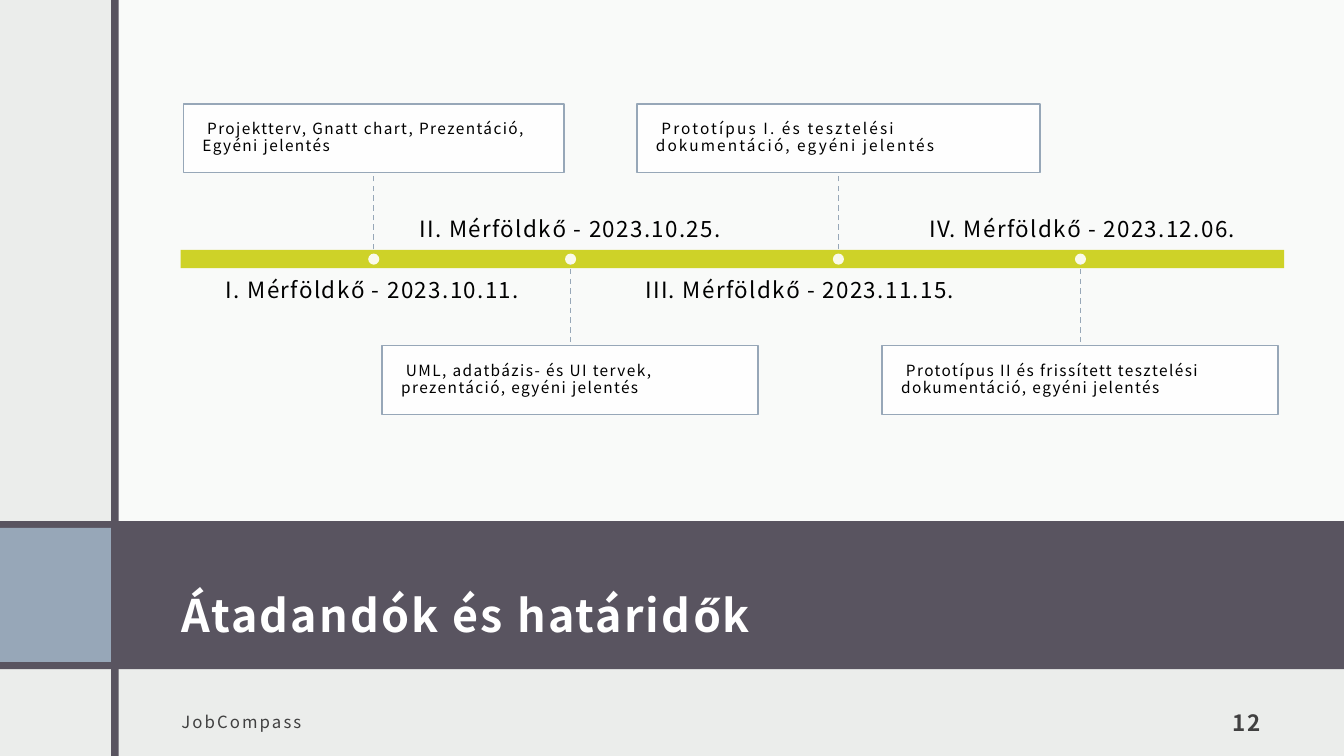
"""Build the milestone timeline slide with deliverables and deadlines."""
import dataclasses

import lxml.etree
import pptx
import pptx.dml.color
import pptx.enum.dml
import pptx.enum.shapes
import pptx.enum.text
import pptx.oxml.ns
import pptx.util

Cm = pptx.util.Cm
Shapes = pptx.enum.shapes.MSO_SHAPE
Align = pptx.enum.text.PP_ALIGN
Anchor = pptx.enum.text.MSO_ANCHOR
qn = pptx.oxml.ns.qn

FONT = "Noto Sans CJK JP"
COLOURS = {
    "background": "EBEDEB",
    "white": "FFFFFF",
    "dark": "595460",
    "blue": "97A7B8",
    "lime": "CED228",
    "grey": "404040",
    "black": "000000",
}
PAGE_WIDTH, PAGE_HEIGHT = 33.87, 19.05
BAND_TOP, BAND_HEIGHT = 13.13, 3.73
AXIS_Y, AXIS_HEIGHT = 6.53, 0.46
CARD_HEIGHT, STEM = 1.73, 2.18
LABEL_WIDTH, LABEL_HEIGHT, LABEL_GAP = 8.89, 1.3, 0.43
DOT = 0.28
FOOTER_INSETS = (0.3, 0.3, 0.3, 0.25)


@dataclasses.dataclass(frozen=True)
class Frame:
    """Position and size in centimetres."""

    left: float
    top: float
    width: float
    height: float

    def lengths(self) -> tuple:
        """Return the four values as lengths."""
        return tuple(Cm(value) for value in dataclasses.astuple(self))


@dataclasses.dataclass(frozen=True)
class Milestone:
    """One deadline with the card of its deliverables."""

    label: str
    deliverables: str
    x: float
    card_left: float
    card_width: float
    label_left: float
    card_above: bool
    spacing: float = 1


MILESTONES = [
    Milestone("I. Mérföldkő - 2023.10.11.",
              " Projektterv, Gnatt chart, Prezentáció, Egyéni jelentés",
              9.42, 4.62, 9.6, 4.95, True),
    Milestone("II. Mérföldkő - 2023.10.25.",
              " UML, adatbázis- és UI tervek, prezentáció, egyéni jelentés",
              14.38, 9.63, 9.47, 9.93, False),
    Milestone("III. Mérföldkő - 2023.11.15.",
              " Prototípus I. és tesztelési dokumentáció, egyéni jelentés",
              21.13, 16.05, 10.16, 15.72, True, 1.5),
    Milestone(" IV. Mérföldkő - 2023.12.06.",
              " Prototípus II és frissített tesztelési dokumentáció, egyéni jelentés",
              27.23, 22.23, 9.98, 22.76, False),
]


def colour(name: str) -> pptx.dml.color.RGBColor:
    """Look up a colour of the palette."""
    return pptx.dml.color.RGBColor.from_string(COLOURS[name])


def write(box, text: str, *, size: float, ink: str = "black", bold: bool = False,
          spacing: float = 1, align=Align.LEFT, anchor=Anchor.MIDDLE,
          line_spacing: float = 1, insets: tuple = (0, 0, 0, 0)) -> None:
    """Put formatted text into a shape, text box or placeholder."""
    frame = box.text_frame
    frame.word_wrap = True
    frame.auto_size = pptx.enum.text.MSO_AUTO_SIZE.NONE
    frame.vertical_anchor = anchor
    (frame.margin_left, frame.margin_top,
     frame.margin_right, frame.margin_bottom) = map(Cm, insets)
    para = frame.paragraphs[0]
    para.alignment = align
    para.line_spacing = line_spacing
    span = para.add_run()
    span.text = text
    span.font.name = FONT
    span.font.size = pptx.util.Pt(size)
    span.font.bold = bold
    span.font.color.rgb = colour(ink)
    span._r.get_or_add_rPr().set("spc", str(round(spacing * 100)))


def add_box(page, place: Frame, fill: str, *, kind=Shapes.RECTANGLE,
            opacity: int = 100, outline: str = ""):
    """Draw a filled shape, optionally translucent or outlined."""
    box = page.shapes.add_shape(kind, *place.lengths())
    box.shadow.inherit = False
    box.fill.solid()
    box.fill.fore_color.rgb = colour(fill)
    if opacity < 100:
        tint = box._element.spPr.find(qn("a:solidFill"))[0]
        lxml.etree.SubElement(tint, qn("a:alpha")).set("val", str(opacity * 1000))
    if outline:
        box.line.color.rgb = colour(outline)
        box.line.width = pptx.util.Pt(1)
    else:
        box.line.fill.background()
    return box


def add_text(page, place: Frame, text: str, **style) -> None:
    """Add a text box with formatted text."""
    write(page.shapes.add_textbox(*place.lengths()), text, **style)


def add_stem(page, x: float, start: float, end: float) -> None:
    """Draw a dashed vertical line between card and axis."""
    stem = page.shapes.add_connector(pptx.enum.shapes.MSO_CONNECTOR.STRAIGHT,
                                     Cm(x), Cm(start), Cm(x), Cm(end))
    stem.line.color.rgb = colour("blue")
    stem.line.width = pptx.util.Pt(1)
    stem.line.dash_style = pptx.enum.dml.MSO_LINE.DASH
    lxml.etree.SubElement(stem._element.spPr, qn("a:effectLst"))


def add_milestone(page, item: Milestone) -> None:
    """Draw stem, card, label and dot of a milestone."""
    if item.card_above:
        stem_end = AXIS_Y - STEM
        card_top = stem_end - CARD_HEIGHT
        label_top, anchor = AXIS_Y + LABEL_GAP, Anchor.TOP
    else:
        stem_end = card_top = AXIS_Y + STEM
        label_top, anchor = AXIS_Y - LABEL_GAP - LABEL_HEIGHT, Anchor.BOTTOM
    add_stem(page, item.x, AXIS_Y, stem_end)
    card = add_box(page, Frame(item.card_left, card_top, item.card_width, CARD_HEIGHT),
                   "white", opacity=90, outline="blue")
    write(card, item.deliverables, size=11, spacing=item.spacing,
          line_spacing=0.9, insets=(0.48, 0.1, 0.48, 0.1))
    add_text(page, Frame(item.label_left, label_top, LABEL_WIDTH, LABEL_HEIGHT),
             item.label, size=16, align=Align.CENTER, anchor=anchor)
    add_box(page, Frame(item.x - DOT / 2, AXIS_Y - DOT / 2, DOT, DOT),
            "white", kind=Shapes.OVAL, opacity=90)


def add_backdrop(page) -> None:
    """Draw the panels and bands behind the content."""
    page.background.fill.solid()
    page.background.fill.fore_color.rgb = colour("background")
    add_box(page, Frame(2.9, 0, PAGE_WIDTH - 2.9, BAND_TOP), "white", opacity=75)
    add_box(page, Frame(0, BAND_TOP, PAGE_WIDTH, BAND_HEIGHT), "dark")
    add_box(page, Frame(0, 13.3, 2.8, 3.38), "blue")
    add_box(page, Frame(2.8, 0, 0.19, PAGE_HEIGHT), "dark")


def main() -> None:
    """Build and save the deck."""
    deck = pptx.Presentation()
    deck.slide_width, deck.slide_height = Cm(PAGE_WIDTH), Cm(PAGE_HEIGHT)
    page = deck.slides.add_slide(deck.slide_layouts.get_by_name("Title Only"))
    add_backdrop(page)

    title = page.shapes.title
    title.left, title.top, title.width, title.height = Frame(4.27, 13.54, 27.81, 2.87).lengths()
    page.shapes._spTree.append(title._element)
    write(title, "Átadandók és határidők", size=32, ink="white", bold=True, spacing=1.5,
          anchor=Anchor.BOTTOM, line_spacing=1.5, insets=FOOTER_INSETS)
    add_text(page, Frame(4.27, 17.53, 13.74, 1.27), "JobCompass", size=12, ink="grey",
             spacing=1.5, insets=FOOTER_INSETS)
    add_text(page, Frame(29.36, 17.53, 2.72, 1.27), "12", size=16, ink="grey", bold=True,
             spacing=1.5, align=Align.RIGHT, anchor=Anchor.BOTTOM, insets=FOOTER_INSETS)

    add_box(page, Frame(4.55, AXIS_Y - AXIS_HEIGHT / 2, 27.81, AXIS_HEIGHT), "lime")
    for item in MILESTONES:
        add_milestone(page, item)
    deck.save("out.pptx")


if __name__ == "__main__":
    main()
